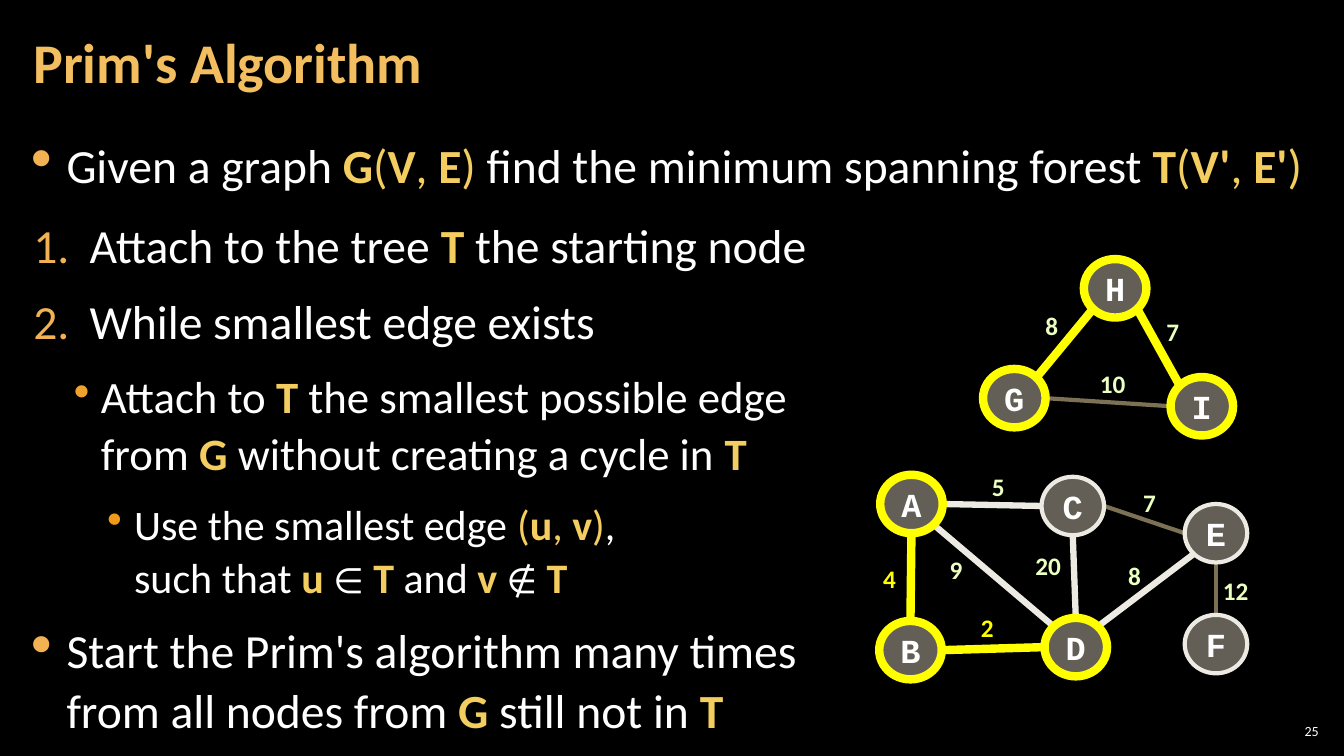
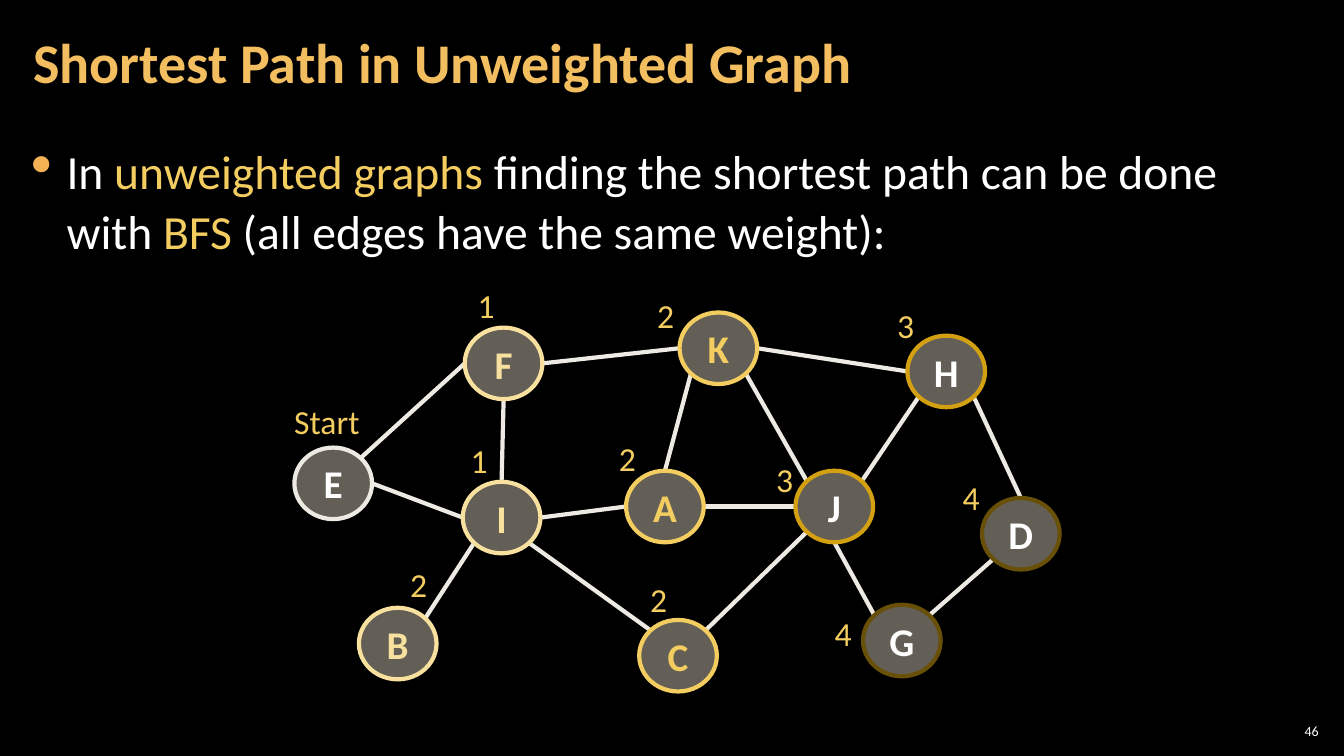
import math

import pptx
import pptx.dml.color
import pptx.enum.shapes
import pptx.enum.text
import pptx.oxml.ns
import pptx.util
from lxml import etree

Inches, Pt, qn = pptx.util.Inches, pptx.util.Pt, pptx.oxml.ns.qn
ALIGN, ANCHOR = pptx.enum.text.PP_ALIGN, pptx.enum.text.MSO_ANCHOR
AUTO = pptx.enum.text.MSO_AUTO_SIZE

WHITE, GOLD, TITLE, NODE = "FFFFFF", "F3CD60", "F3BE60", "C7BFAC"
YELLOW, PALE, DIM, LIME = "FFFF00", "ECEAE3", "7C7154", "EBFFC2"
CREAM, AMBER, BROWN = "F8E19F", "D2A010", "695008"

BULLETS = {
    "step": (0, 0.56, 0.56, 34, "F2B254", 100),
    "main": (0, 0.33, 0.33, 34, "F2B254", 100),
    "sub": (1, 0.67, 0.25, 32, "F0A22E", 80),
    "subsub": (2, 1.0, 0.25, 30, "EF9A1D", 80),
}
MARKS = {"*": (GOLD, True), "~": (GOLD, False), "^": (WHITE, False)}
ANGLES = {d: i * math.pi / 4 for i, d in enumerate(["E", "SE", "S", "SW", "W", "NW", "N", "NE"])}

TREE, OPEN, REST, PLAIN = (YELLOW, 6), (PALE, 4.5), (DIM, 3), (PALE, 3)

SLIDES = [
    {
        "number": "25",
        "title": "Prim's Algorithm",
        "intro": [
            ("main", "Given a graph |*G|~(|*V|~, |*E|~)| find the minimum spanning forest "
                     "|*T|~(|*V'|~, |*E'|~)"),
        ],
        "body_box": (0.21, 1.99, 9.54, 5.35),
        "body": [
            ("step", "Attach to the tree |*T| the starting node"),
            ("step", "While smallest edge exists"),
            ("sub", "Attach to |*T |the smallest possible edge|\n|from |*G| without creating a cycle in |*T"),
            ("subsub", "Use the smallest edge |~(|*u|~, |*v|~)|,|\n|such that |*u |^∈| |*T| and |*v |^∉| |*T"),
            ("main", "Start the Prim's algorithm many times|\n|from all nodes from |*G| still not in |*T"),
        ],
        "node_size": (0.62, 0.58),
        "node_font": ("Courier New", 24),
        "nodes": {
            "A": (8.73, 4.71, TREE, WHITE), "B": (8.72, 6.16, TREE, WHITE),
            "C": (10.33, 4.73, PLAIN, WHITE), "D": (10.36, 6.13, TREE, WHITE),
            "E": (11.75, 5.0, PLAIN, WHITE), "F": (11.75, 6.1, PLAIN, WHITE),
            "G": (9.75, 3.66, TREE, WHITE), "H": (10.75, 2.57, TREE, WHITE),
            "I": (11.61, 3.74, TREE, WHITE),
        },
        "edges": [
            ("D", "NE", "E", "SW", OPEN), ("D", "N", "C", "S", OPEN),
            ("F", "N", "E", "S", REST), ("D", "W", "B", "E", TREE),
            ("D", "NW", "A", "SE", OPEN), ("C", "E", "E", "W", REST),
            ("B", "N", "A", "S", TREE), ("A", "E", "C", "W", OPEN),
            ("G", "E", "I", "W", REST), ("G", "NE", "H", "SW", TREE),
            ("I", "NW", "H", "SE", TREE),
        ],
        "label_style": (18, True, 0.4),
        "labels": [
            ("4", 8.66, 5.54, 0.33, YELLOW), ("2", 9.63, 6.03, 0.33, YELLOW),
            ("9", 9.32, 5.45, 0.33, LIME), ("12", 12.03, 5.66, 0.46, LIME),
            ("8", 11.09, 5.51, 0.33, LIME), ("7", 11.24, 4.79, 0.33, LIME),
            ("5", 9.74, 4.63, 0.33, LIME), ("20", 10.17, 5.41, 0.46, LIME),
            ("10", 10.81, 3.6, 0.46, LIME), ("8", 10.27, 3.03, 0.33, LIME),
            ("7", 11.47, 3.09, 0.33, LIME),
        ],
    },
    {
        "number": "46",
        "title": "Shortest Path in Unweighted Graph",
        "intro": [],
        "body_box": (0.21, 1.26, 12.91, 6.09),
        "body": [
            ("main", "In |~unweighted graphs| finding the shortest path can be done with "
                     "|~BFS |(all edges have the same weight):"),
        ],
        "node_size": (0.77, 0.71),
        "node_font": ("Calibri", 28),
        "nodes": {
            "E": (2.92, 4.44, PLAIN, WHITE), "F": (4.61, 3.25, (CREAM, 3), CREAM),
            "I": (4.59, 4.78, (CREAM, 3), CREAM), "B": (3.56, 6.03, (CREAM, 3), CREAM),
            "K": (6.74, 3.1, (GOLD, 3), GOLD), "A": (6.21, 4.67, (GOLD, 3), GOLD),
            "C": (6.34, 6.15, (GOLD, 3), GOLD), "H": (9.0, 3.33, (AMBER, 3), WHITE),
            "J": (7.89, 4.67, (AMBER, 3), WHITE), "D": (9.74, 4.94, (BROWN, 3), WHITE),
            "G": (8.56, 6.0, (BROWN, 3), WHITE),
        },
        "edges": [
            ("E", "NE", "F", "W", PLAIN), ("E", "E", "I", "W", PLAIN),
            ("F", "S", "I", "N", PLAIN), ("F", "E", "K", "W", PLAIN),
            ("I", "E", "A", "W", PLAIN), ("I", "SW", "B", "NE", PLAIN),
            ("I", "SE", "C", "NW", PLAIN), ("K", "SW", "A", "N", PLAIN),
            ("K", "SE", "J", "NW", PLAIN), ("K", "E", "H", "W", PLAIN),
            ("A", "E", "J", "W", PLAIN), ("C", "NE", "J", "SW", PLAIN),
            ("J", "NE", "H", "SW", PLAIN), ("J", "S", "G", "NW", PLAIN),
            ("H", "SE", "D", "N", PLAIN), ("D", "SW", "G", "NE", PLAIN),
        ],
        "label_style": (24, False, 0.5),
        "labels": [
            ("Start", 2.82, 3.93, 0.86, GOLD), ("1", 4.64, 2.78, 0.37, GOLD),
            ("1", 4.57, 4.32, 0.37, GOLD), ("2", 6.42, 2.88, 0.37, GOLD),
            ("2", 3.97, 5.55, 0.37, GOLD), ("2", 6.04, 4.3, 0.37, GOLD),
            ("2", 6.35, 5.69, 0.37, GOLD), ("3", 8.8, 2.98, 0.37, GOLD),
            ("3", 7.6, 4.5, 0.37, GOLD), ("4", 8.18, 6.03, 0.37, GOLD),
            ("4", 9.45, 4.68, 0.37, GOLD),
        ],
    },
]


def style(r, size, color, bold=False, name="Calibri"):
    r.font.name, r.font.size, r.font.bold = name, Pt(size), bold
    r.font.color.rgb = pptx.dml.color.RGBColor.from_string(color)


def write_list(tf, items):
    tf.word_wrap = True
    tf.auto_size = AUTO.NONE
    tf.margin_left = tf.margin_right = tf.margin_top = Inches(0.12)
    tf.margin_bottom = Inches(0.04)
    for i, (kind, text) in enumerate(items):
        level, left, hang, size, color, pct = BULLETS[kind]
        p = tf.add_paragraph() if i else tf.paragraphs[0]
        p.level = level
        pPr = p._p.get_or_add_pPr()
        pPr.set("marL", str(Inches(left)))
        pPr.set("indent", str(-Inches(hang)))
        buClr = etree.SubElement(pPr, qn("a:buClr"))
        etree.SubElement(buClr, qn("a:srgbClr"), val=color)
        etree.SubElement(pPr, qn("a:buSzPct"), val=str(pct * 1000))
        if kind == "step":
            etree.SubElement(pPr, qn("a:buFont"), typeface="Calibri")
            etree.SubElement(pPr, qn("a:buAutoNum"), type="arabicPeriod")
        else:
            etree.SubElement(pPr, qn("a:buFont"), typeface="Wingdings 2")
            etree.SubElement(pPr, qn("a:buChar"), char="▪")
        p.line_spacing = 1.05
        p.space_before = Pt(6 if i else 0)
        p.space_after = Pt(6)
        for part in text.split("|"):
            if part == "\n":
                p.add_line_break()
                continue
            run_color, bold = MARKS.get(part[0], (WHITE, False))
            r = p.add_run()
            r.text = part[1:] if part[0] in MARKS else part
            style(r, 25 if part[0] == "^" else size, run_color, bold)


prs = pptx.Presentation()
prs.slide_width, prs.slide_height = Inches(13.33), Inches(7.5)
bg = prs.slide_master.background.fill
bg.solid()
bg.fore_color.rgb = pptx.dml.color.RGBColor.from_string("000000")

for data in SLIDES:
    s = prs.slides.add_slide(prs.slide_layouts[1])

    title, body = s.shapes.title, s.placeholders[1]
    title.left, title.top, title.width, title.height = map(Inches, (0.21, 0.04, 10.47, 1.21))
    tf = title.text_frame
    tf.text = data["title"]
    tf.vertical_anchor = ANCHOR.MIDDLE
    tf.auto_size = AUTO.NONE
    tf.margin_left = tf.margin_right = Inches(0.12)
    tf.margin_top = tf.margin_bottom = Inches(0.04)
    p = tf.paragraphs[0]
    p.alignment, p.line_spacing = ALIGN.LEFT, 0.9
    style(p.runs[0], 40, TITLE, True)

    if data["intro"]:
        intro = s.shapes.add_textbox(*map(Inches, (0.21, 1.2, 12.91, 0.77)))
        write_list(intro.text_frame, data["intro"])
    body.left, body.top, body.width, body.height = map(Inches, data["body_box"])
    write_list(body.text_frame, data["body"])

    number = s.shapes.add_textbox(*map(Inches, (12.65, 7.14, 0.47, 0.22)))
    tf = number.text_frame
    tf.text = data["number"]
    tf.word_wrap = True
    tf.vertical_anchor = ANCHOR.MIDDLE
    tf.margin_left = tf.margin_right = tf.margin_top = tf.margin_bottom = Inches(0.04)
    tf.paragraphs[0].alignment = ALIGN.RIGHT
    style(tf.paragraphs[0].runs[0], 10, WHITE)

    graph = s.shapes.add_group_shape()
    w, h = data["node_size"]

    for start, start_side, end, end_side, (color, width) in data["edges"]:
        ends = []
        for node, side in ((start, start_side), (end, end_side)):
            x, y = data["nodes"][node][:2]
            ends.append(Inches(x + w / 2 * (1 + math.cos(ANGLES[side]))))
            ends.append(Inches(y + h / 2 * (1 + math.sin(ANGLES[side]))))
        edge = graph.shapes.add_connector(pptx.enum.shapes.MSO_CONNECTOR.STRAIGHT, *ends)
        edge.line.color.rgb = pptx.dml.color.RGBColor.from_string(color)
        edge.line.width = Pt(width)
        etree.SubElement(edge._element.spPr, qn("a:effectLst"))

    size, bold, label_h = data["label_style"]
    for text, x, y, label_w, color in data["labels"]:
        label = graph.shapes.add_textbox(*map(Inches, (x, y, label_w, label_h)))
        tf = label.text_frame
        tf.text = text
        tf.word_wrap = False
        tf.auto_size = AUTO.SHAPE_TO_FIT_TEXT
        style(tf.paragraphs[0].runs[0], size, color, bold)

    name, size = data["node_font"]
    for text, (x, y, (color, width), font_color) in data["nodes"].items():
        sp = graph.shapes.add_shape(pptx.enum.shapes.MSO_SHAPE.OVAL, *map(Inches, (x, y, w, h)))
        sp.shadow.inherit = False
        sp.fill.solid()
        sp.fill.fore_color.rgb = pptx.dml.color.RGBColor.from_string(NODE)
        fill = sp._element.spPr.find(qn("a:solidFill")).find(qn("a:srgbClr"))
        etree.SubElement(fill, qn("a:alpha"), val="50000")
        sp.line.color.rgb = pptx.dml.color.RGBColor.from_string(color)
        sp.line.width = Pt(width)
        tf = sp.text_frame
        tf.text = text
        tf.word_wrap = False
        tf.vertical_anchor = ANCHOR.MIDDLE
        tf.paragraphs[0].alignment = ALIGN.CENTER
        style(tf.paragraphs[0].runs[0], size, font_color, True, name)

prs.save("out.pptx")
